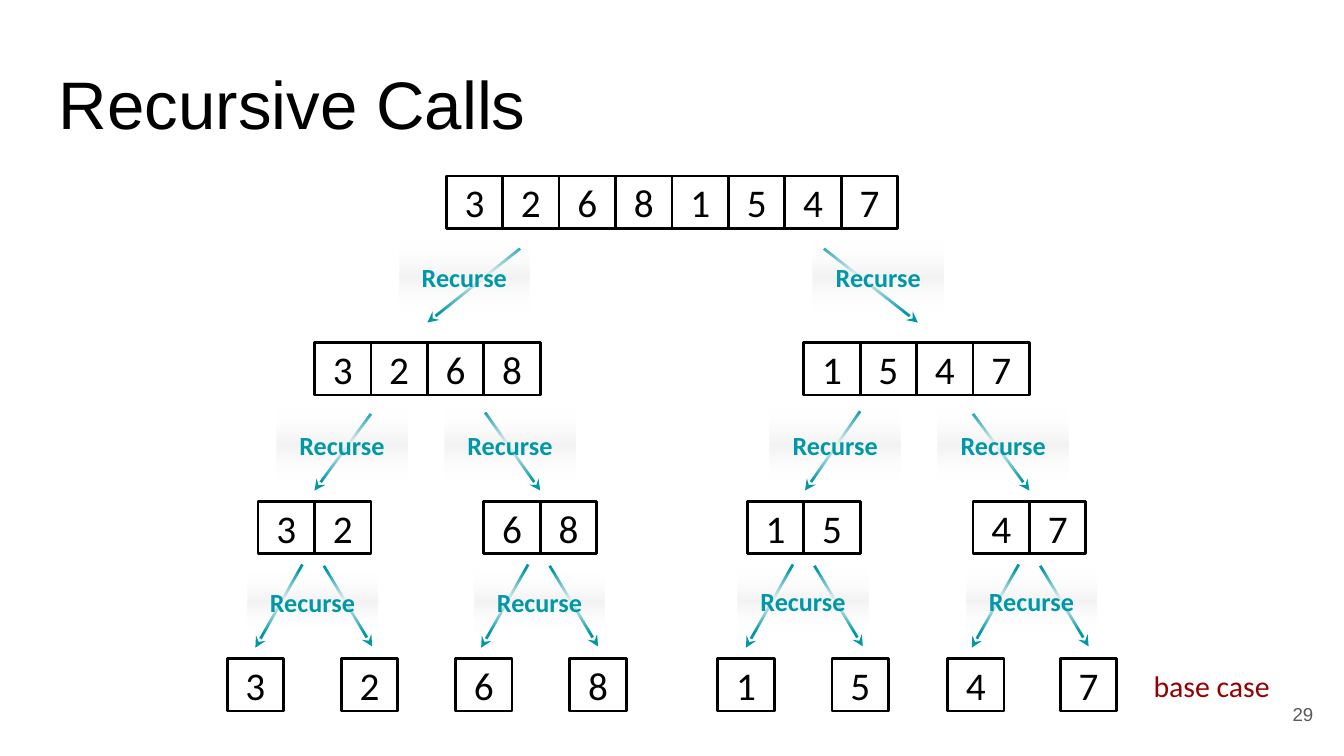
from dataclasses import dataclass

from lxml.etree import SubElement
from pptx import Presentation
from pptx.dml.color import RGBColor
from pptx.enum.shapes import MSO_CONNECTOR, MSO_SHAPE
from pptx.enum.text import MSO_ANCHOR, PP_ALIGN
from pptx.oxml.ns import qn
from pptx.util import Inches, Pt


@dataclass(frozen=True)
class Theme:
    ink: str = "000000"
    paper: str = "FFFFFF"
    teal: str = "0097A7"
    mist: str = "F3F3F3"
    red: str = "980000"
    gray: str = "595959"
    head: str = "Arial"
    body: str = "Calibri"
    title: int = 36
    digit: int = 21
    note: int = 16
    label: int = 14
    small: int = 10
    stroke: float = 1.5


THEME = Theme()
DIGITS = "32681547"
CELL_W, CELL_H = 0.42, 0.39
LABEL_W = 0.97

ROWS = [
    (1.31, [3.32]),
    (2.55, [2.34, 5.98]),
    (3.73, [1.92, 3.6, 5.56, 7.24]),
    (4.9, [1.69, 2.54, 3.39, 4.24, 5.34, 6.19, 7.05, 7.89]),
]
UPPER = [
    (3.87, 1.85, 3.18, 2.4),
    (6.13, 1.85, 6.83, 2.4),
    (3.61, 3.07, 4.02, 3.65),
    (7.24, 3.08, 7.66, 3.65),
    (6.4, 3.06, 5.99, 3.65),
    (2.76, 3.08, 2.34, 3.65),
]
FORKS = [1.9, 3.58, 5.55, 7.23]
LABELS = [
    (1.8, 0.53, [2.97, 6.05]),
    (3.05, 0.53, [2.06, 3.31, 5.73, 6.98]),
    (4.25, 0.46, [1.84, 3.53]),
    (4.24, 0.46, [5.49, 7.19]),
]


def color(code):
    return RGBColor.from_string(code)


def write(shape, text, size, ink, font=THEME.body, align=PP_ALIGN.CENTER,
          anchor=MSO_ANCHOR.MIDDLE, bold=False):
    frame = shape.text_frame
    frame.word_wrap = True
    frame.vertical_anchor = anchor
    frame.margin_left = frame.margin_right = Inches(0.1)
    frame.margin_top = frame.margin_bottom = Inches(0.1)
    para = frame.paragraphs[0]
    para.alignment = align
    run = para.add_run()
    run.text = text
    run.font.name = font
    run.font.size = Pt(size)
    run.font.bold = bold
    run.font.color.rgb = color(ink)


def add_text(slide, spot, *args, **style):
    box = slide.shapes.add_textbox(*map(Inches, spot))
    write(box, *args, **style)


def add_rect(shapes, *spot):
    rect = shapes.add_shape(MSO_SHAPE.RECTANGLE, *map(Inches, spot))
    rect.shadow.inherit = False
    return rect


def add_cell(slide, left, top, digit):
    cell = add_rect(slide.shapes, left, top, CELL_W, CELL_H)
    cell.fill.solid()
    cell.fill.fore_color.rgb = color(THEME.paper)
    cell.line.color.rgb = color(THEME.ink)
    cell.line.width = Pt(THEME.stroke)
    write(cell, digit, THEME.digit, THEME.ink)


def add_row(slide, top, lefts):
    size = len(DIGITS) // len(lefts)
    for part, left in enumerate(lefts):
        digits = DIGITS[part * size:(part + 1) * size]
        for col, digit in enumerate(digits):
            add_cell(slide, left + col * CELL_W, top, digit)


def add_arrow(group, *ends):
    arrow = group.shapes.add_connector(MSO_CONNECTOR.STRAIGHT, *map(Inches, ends))
    arrow.line.color.rgb = color(THEME.teal)
    arrow.line.width = Pt(THEME.stroke)
    SubElement(arrow.line._get_or_add_ln(), qn("a:tailEnd"), type="stealth")
    SubElement(arrow._element.spPr, qn("a:effectLst"))


def add_fork(group, left):
    add_arrow(group, left + 0.35, 4.2, left, 4.82)
    add_arrow(group, left + 0.51, 4.21, left + 0.87, 4.81)


def fade(shape):
    shape.fill.gradient()
    shape.fill.gradient_angle = 270
    stops = shape._element.spPr.find(qn("a:gradFill")).find(qn("a:gsLst"))
    for stop in list(stops):
        stops.remove(stop)
    for pos, code, clear in ((0, THEME.paper, True), (50, THEME.mist, False),
                             (100, THEME.paper, True)):
        stop = SubElement(stops, qn("a:gs"), pos=str(pos * 1000))
        tint = SubElement(stop, qn("a:srgbClr"), val=code)
        if clear:
            SubElement(tint, qn("a:alpha"), val="0")


def add_label(group, left, top, height):
    label = add_rect(group.shapes, left, top, LABEL_W, height)
    fade(label)
    label.line.fill.background()
    write(label, "Recurse", THEME.label, THEME.teal, bold=True)


def main():
    deck = Presentation()
    deck.slide_width = Inches(10)
    deck.slide_height = deck.slide_width * 9 // 16
    slide = deck.slides.add_slide(deck.slide_layouts[6])

    add_text(slide, (0.34, 0.41, 9.32, 0.71), "Recursive Calls", THEME.title,
             THEME.ink, font=THEME.head, align=PP_ALIGN.LEFT)

    arrows = slide.shapes.add_group_shape()
    for ends in UPPER:
        add_arrow(arrows, *ends)
    for left in FORKS:
        add_fork(arrows, left)

    for top, lefts in ROWS:
        add_row(slide, top, lefts)

    labels = slide.shapes.add_group_shape()
    for top, height, lefts in LABELS:
        for left in lefts:
            add_label(labels, left, top, height)

    add_text(slide, (8.37, 4.87, 1.29, 0.71), "base case", THEME.note,
             THEME.red, anchor=MSO_ANCHOR.TOP)
    add_text(slide, (9.27, 5.1, 0.6, 0.43), "29", THEME.small, THEME.gray,
             font=THEME.head, align=PP_ALIGN.RIGHT)
    deck.save("out.pptx")


if __name__ == "__main__":
    main()
